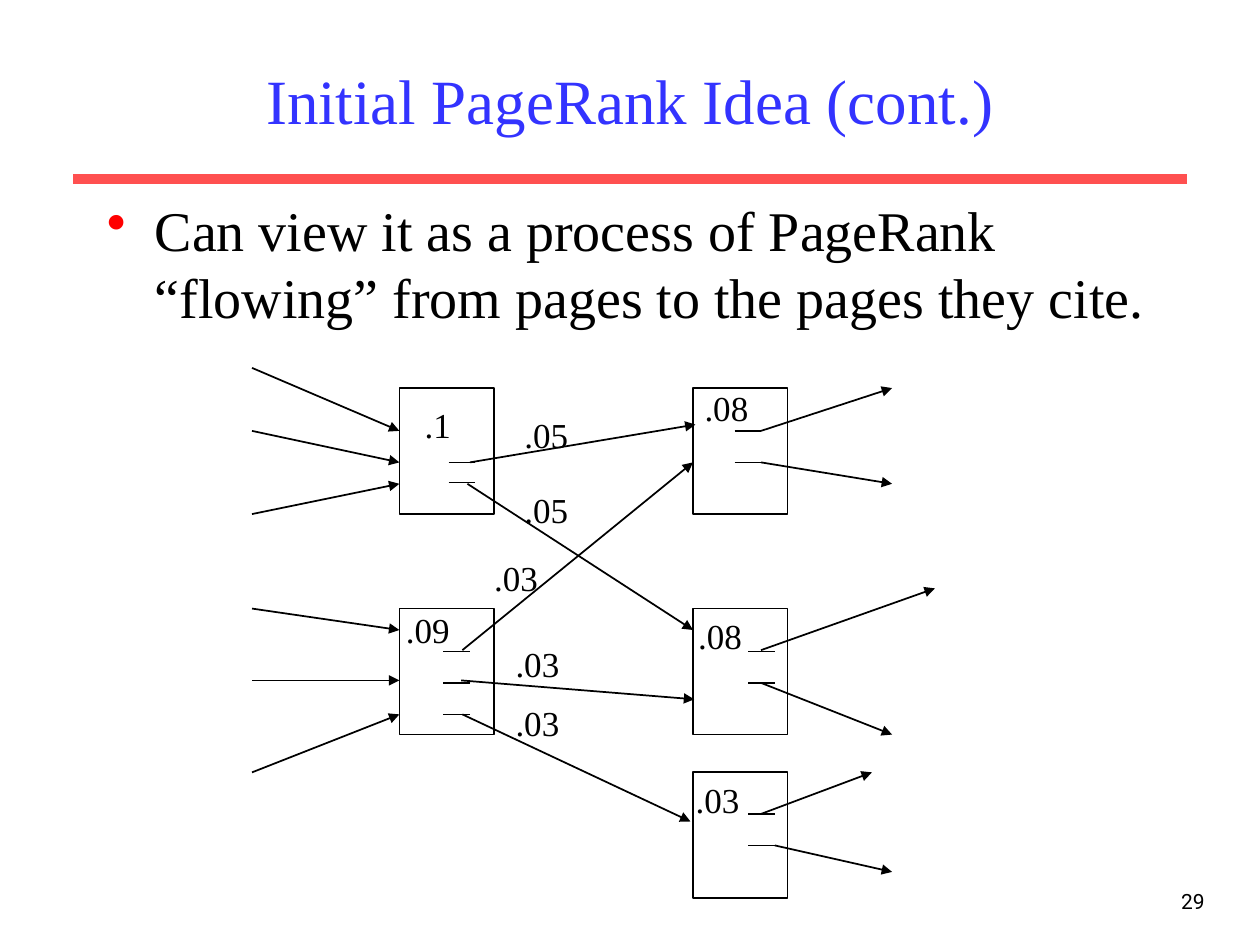
from lxml.etree import SubElement
from pptx import Presentation
from pptx.dml.color import RGBColor
from pptx.enum.shapes import MSO_CONNECTOR, MSO_SHAPE
from pptx.enum.text import MSO_ANCHOR, PP_ALIGN
from pptx.oxml.ns import qn
from pptx.util import Inches, Pt

SERIF = "Times New Roman"
BLACK = "000000"


def draw_line(start, end, arrow=False, color=BLACK, width=1):
    line = shapes.add_connector(
        MSO_CONNECTOR.STRAIGHT, *[Inches(v) for v in (*start, *end)])
    line.line.color.rgb = RGBColor.from_string(color)
    line.line.width = Pt(width)
    if arrow:
        SubElement(line.line._get_or_add_ln(), qn("a:tailEnd"), type="triangle")
    SubElement(line._element.spPr, qn("a:effectLst"))


def add_text(text, area, size, align, color=BLACK, font=SERIF, wrap=True):
    """Add a one-paragraph text box and return its frame."""
    frame = shapes.add_textbox(*[Inches(v) for v in area]).text_frame
    frame.word_wrap = wrap
    para = frame.paragraphs[0]
    para.alignment = align
    run = para.add_run()
    run.text = text
    run.font.size = Pt(size)
    run.font.name = font
    run.font.color.rgb = RGBColor.from_string(color)
    return frame


deck = Presentation()
deck.slide_width, deck.slide_height = Inches(10), Inches(7.5)
shapes = deck.slides.add_slide(deck.slide_layouts[6]).shapes

# Heading, rule, page number
draw_line((0.58, 1.42), (9.42, 1.42), color="FF5050", width=6)
add_text("29", (7.58, 7, 2.08, 0.5), 12, PP_ALIGN.RIGHT, font="Roboto")
title = add_text("Initial PageRank Idea (cont.)", (0.75, 0.25, 8.5, 1.08),
                 36, PP_ALIGN.CENTER, "3333FF")
title.vertical_anchor = MSO_ANCHOR.MIDDLE

# Bullet
body = add_text("Can view it as a process of PageRank “flowing” from pages "
                "to the pages they cite.", (0.75, 1.5, 8.5, 5.13), 32, PP_ALIGN.LEFT)
para = body.paragraphs[0]
para.space_before = Pt(6.4)
props = para._p.get_or_add_pPr()
props.set("marL", str(Inches(0.38)))
props.set("indent", str(-Inches(0.38)))
tint = SubElement(props, qn("a:buClr"))
SubElement(tint, qn("a:srgbClr"), val="FF0000")
SubElement(props, qn("a:buChar"), char="•")

# Pages: left, top, left edge of the link marks, their heights
pages = [
    (3.17, 3.08, 3.56, (3.67, 3.83)),
    (3.17, 4.83, 3.52, (5.17, 5.42, 5.67)),
    (5.5, 3.08, 5.83, (3.42, 3.67)),
    (5.5, 4.83, 5.94, (5.17, 5.42)),
    (5.5, 6.13, 5.94, (6.46, 6.71)),
]
for left, top, mark, rows in pages:
    page = shapes.add_shape(MSO_SHAPE.RECTANGLE, Inches(left), Inches(top),
                            Inches(0.75), Inches(1))
    page.shadow.inherit = False
    page.fill.background()
    page.line.color.rgb = RGBColor.from_string(BLACK)
    page.line.width = Pt(1)
    for y in rows:
        draw_line((mark, y), (mark + 0.21, y))

# Links into, between and out of the pages
inward = [(2.92, 3.42), (3.42, 3.67), (4.08, 3.84),
          (4.83, 5), (5.4, 5.4), (6.13, 5.67)]
flows = [((2, a), (3.17, b)) for a, b in inward] + [
    ((3.73, 3.67), (5.52, 3.37)),
    ((3.71, 3.84), (5.5, 5)),
    ((3.67, 5.16), (5.5, 3.67)),
    ((3.66, 5.4), (5.51, 5.55)),
    ((3.67, 5.67), (5.48, 6.52)),
    ((6.04, 3.42), (7.08, 3.08)),
    ((6.04, 3.67), (7.08, 3.84)),
    ((6.04, 5.16), (7.42, 4.67)),
    ((6.04, 5.42), (7.08, 5.83)),
    ((6.04, 6.46), (6.92, 6.13)),
    ((6.15, 6.71), (7.08, 6.92)),
]
for start, end in flows:
    draw_line(start, end, arrow=True)

# Ranks on pages and links
ranks = [
    (".1", 3.27, 3.15), (".09", 3.12, 4.78),
    (".05", 4.06, 3.23), (".05", 4.06, 3.83),
    (".03", 3.82, 4.37), (".03", 3.99, 5.05), (".03", 3.99, 5.52),
    (".08", 5.49, 3.02), (".08", 5.44, 4.83), (".03", 5.42, 6.13),
]
for text, left, top in ranks:
    width = 0.41 if len(text) == 2 else 0.55
    add_text(text, (left, top, width, 0.43), 20, PP_ALIGN.CENTER, wrap=False)

deck.save("out.pptx")
